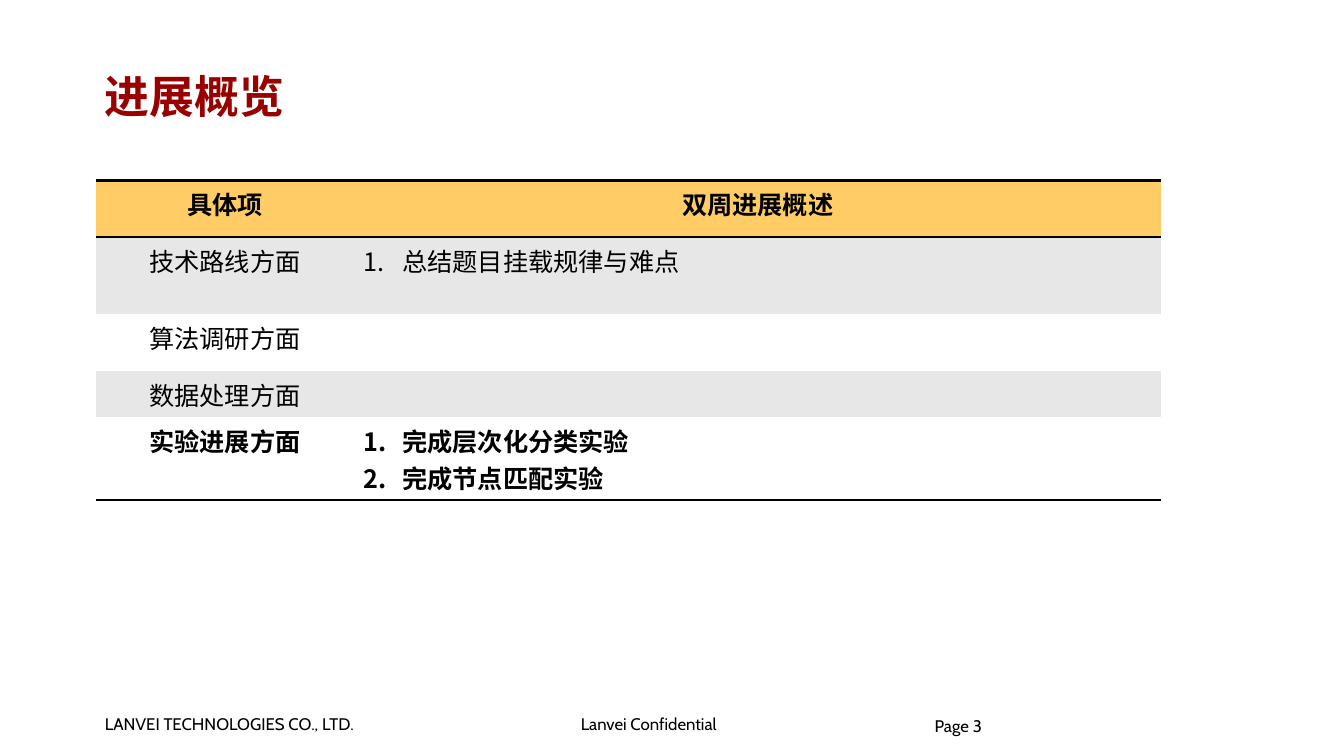
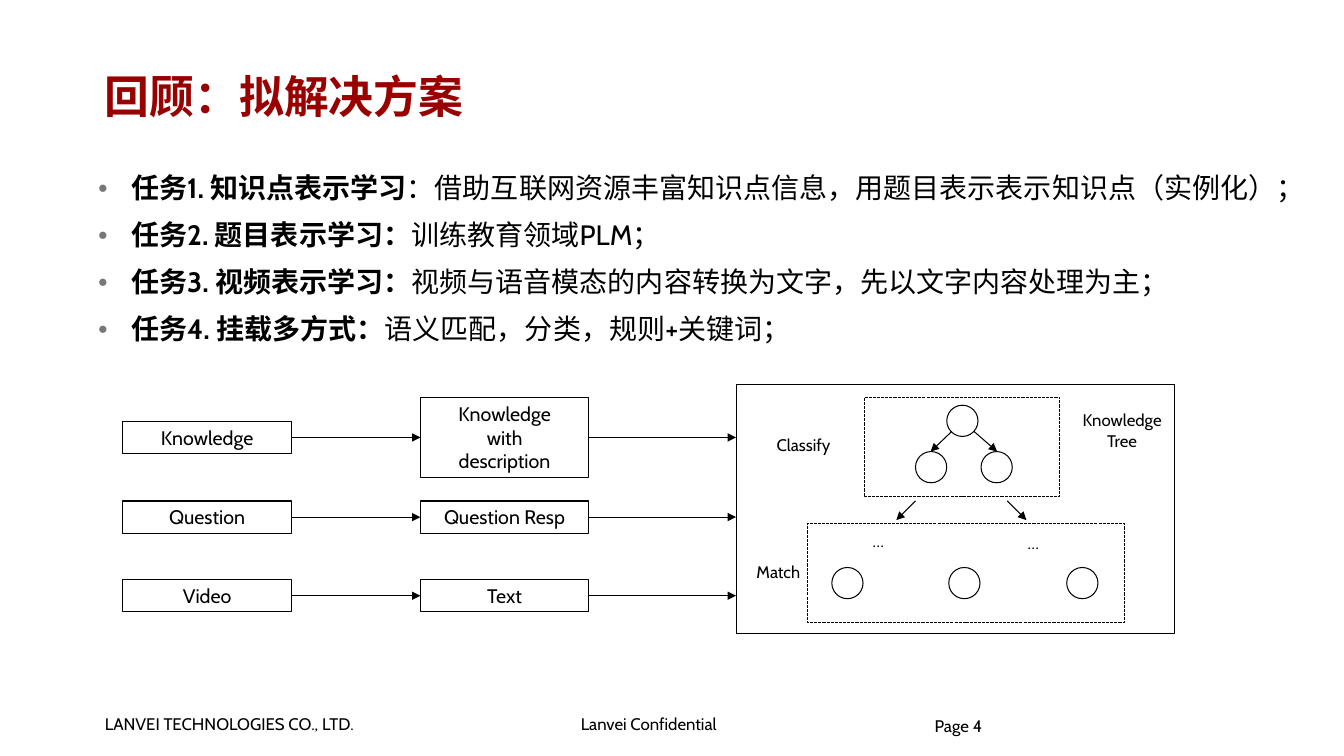
from lxml.etree import SubElement
from pptx import Presentation
from pptx.dml.color import RGBColor
from pptx.enum.dml import MSO_LINE
from pptx.enum.shapes import MSO_CONNECTOR, MSO_SHAPE
from pptx.enum.text import MSO_ANCHOR, MSO_AUTO_SIZE, PP_ALIGN
from pptx.oxml.ns import qn
from pptx.util import Inches, Pt

COLORS = {"title": "990000", "ink": "000000", "head": "FFCC66",
          "band": "E7E7E7", "plain": "FFFFFF", "dot": "777777"}
LATIN, HAN = "Cabin", "Noto Sans CJK SC"
NO_STYLE = "{2D5ABB26-0587-4C30-8999-92F81FD0307C}"
CENTER = PP_ALIGN.CENTER
INSETS = (0.09, 0.04, 0.09, 0.04)


def rgb(name):
    return RGBColor.from_string(COLORS[name])


def add(parent, tag, **attrs):
    return SubElement(parent, qn(tag), attrs)


def box(*nums):
    return [Inches(n) for n in nums]


# Text: each line is a string or a list of (text, bold) pairs
def write(frame, *lines, size=12, bold=False, color="ink", font=LATIN,
          align=None, spacing=None, bullet=None):
    for i, line in enumerate(lines):
        para = frame.paragraphs[0] if i == 0 else frame.add_paragraph()
        para.alignment = align
        if spacing:
            para.line_spacing = spacing
            para.space_before = Pt(0)
        if bullet:
            bullet(para)
        for text, heavy in [(line, bold)] if isinstance(line, str) else line:
            run = para.add_run()
            run.text = text
            run.font.size, run.font.bold, run.font.name = Pt(size), heavy, font
            run.font.color.rgb = rgb(color)
            add(run.font._element, "a:ea", typeface=HAN)


def indent(para, inches):
    props = para._p.get_or_add_pPr()
    props.set("marL", str(Inches(inches)))
    props.set("indent", str(-Inches(inches)))
    return props


def dot(para):
    props = indent(para, 0.33)
    add(add(props, "a:buClr"), "a:srgbClr", val=COLORS["dot"])
    add(props, "a:buSzPct", val="60000")
    add(props, "a:buChar", char="●")


def number(para):
    add(indent(para, 0.38), "a:buAutoNum", type="arabicPeriod")


def pad(frame, insets):
    (frame.margin_left, frame.margin_top,
     frame.margin_right, frame.margin_bottom) = box(*insets)


def label(slide, place, *lines, wrap=True, insets=(0.1, 0.05, 0.1, 0.05), **style):
    frame = slide.shapes.add_textbox(*box(*place)).text_frame
    frame.word_wrap = wrap
    pad(frame, insets)
    write(frame, *lines, **style)


# Shared slide parts: title, footer, page number
def page(deck, layout, title, num):
    slide = deck.slides.add_slide(deck.slide_layouts[layout])
    head = slide.shapes.title
    head.left, head.top, head.width, head.height = box(0.95, 0.47, 11.29, 0.95)
    frame = head.text_frame
    frame.vertical_anchor = MSO_ANCHOR.MIDDLE
    pad(frame, INSETS)
    write(frame, title, size=32, bold=True, color="title", font=HAN,
          align=PP_ALIGN.LEFT)
    label(slide, (0.95, 7.04, 3.02, 0.29), "LANVEI TECHNOLOGIES CO., LTD.",
          wrap=False, insets=INSETS)
    label(slide, (5.67, 7.04, 1.71, 0.29), "Lanvei Confidential",
          wrap=False, insets=INSETS)
    label(slide, (9.27, 7.13, 3.06, 0.5), f"Page {num}",
          insets=(0, 0, 0, 0), spacing=0.85)
    return slide


# Outlined shapes and arrows
def shape(slide, kind, place, *lines, dash=False):
    item = slide.shapes.add_shape(kind, *box(*place))
    item.shadow.inherit = False
    item.fill.background()
    item.line.color.rgb, item.line.width = rgb("ink"), Pt(0.75)
    if dash:
        item.line.dash_style = MSO_LINE.SQUARE_DOT
    pad(item.text_frame, INSETS)
    if lines:
        write(item.text_frame, *lines, size=14, align=CENTER)
    return item


def ring(slide, left, top):
    return shape(slide, MSO_SHAPE.OVAL, (left, top, 0.31, 0.31))


def arrow(slide, start, end, source=None, target=None):
    line = slide.shapes.add_connector(MSO_CONNECTOR.STRAIGHT, *box(*start, *end))
    if source:
        line.begin_connect(source, 3)
    if target:
        line.end_connect(target, 1)
    line.line.color.rgb, line.line.width = rgb("ink"), Pt(0.75)
    add(line.line._get_or_add_ln(), "a:tailEnd", type="triangle")
    add(line._element.spPr, "a:effectLst")


# Table
def border(cell, *sides):
    props = cell._tc.get_or_add_tcPr()
    for i, side in enumerate(sides):
        edge = props.makeelement(qn(f"a:{side}"), {"w": str(Pt(2))})
        add(add(edge, "a:solidFill"), "a:srgbClr", val=COLORS["ink"])
        props.insert(i, edge)


def grid(slide, rows, widths, heights):
    place = box(0.95, 1.79, sum(widths), sum(heights))
    table = slide.shapes.add_table(len(rows), len(widths), *place).table
    table._tbl.tblPr.find(qn("a:tableStyleId")).text = NO_STYLE
    for col, width in zip(table.columns, widths):
        col.width = Inches(width)
    last = len(rows) - 1
    for r, (name, notes) in enumerate(rows):
        table.rows[r].height = Inches(heights[r])
        fill = "head" if r == 0 else "band" if r % 2 else "plain"
        for c, lines in enumerate(([name], notes)):
            cell = table.cell(r, c)
            cell.fill.solid()
            cell.fill.fore_color.rgb = rgb(fill)
            listed = r > 0 and c == 1
            write(cell.text_frame, *lines, size=18, bold=r in (0, last),
                  align=None if listed else CENTER,
                  bullet=number if listed else None)
            if r == 0:
                border(cell, "lnT", "lnB")
            elif r == last:
                border(cell, "lnB")


def progress(deck):
    slide = page(deck, 5, "进展概览", 3)
    rows = [("具体项", ["双周进展概述"]),
            ("技术路线方面", ["总结题目挂载规律与难点"]),
            ("算法调研方面", []),
            ("数据处理方面", []),
            ("实验进展方面", ["完成层次化分类实验", "完成节点匹配实验"])]
    grid(slide, rows, (2.56, 8.01), (0.56, 0.77, 0.56, 0.46, 0.82))


# Three input rows leading into the panel
def flow(slide):
    panel = 7.3
    rows = [("Knowledge", ["Knowledge", "with", "description"], 0.79, 4.34),
            ("Question", ["Question Resp"], 0.32, 5.13),
            ("Video", ["Text"], 0.32, 5.91)]
    for name, lines, high, mid in rows:
        first = shape(slide, MSO_SHAPE.RECTANGLE, (1.22, mid - 0.16, 1.67, 0.32), name)
        second = shape(slide, MSO_SHAPE.RECTANGLE,
                       (4.17, mid - high / 2, 1.67, high), *lines)
        arrow(slide, (2.89, mid), (4.17, mid), first, second)
        arrow(slide, (5.84, mid), (panel, mid), second)
    shape(slide, MSO_SHAPE.RECTANGLE, (panel, 3.81, 4.35, 2.48))


# Classification tree above the matching row
def tree(slide):
    for place in ((8.57, 3.94, 1.94, 0.99), (8.01, 5.19, 3.14, 0.99)):
        shape(slide, MSO_SHAPE.RECTANGLE, place, dash=True)
    for spot in ((9.39, 4.02), (9.08, 4.48), (9.73, 4.48)):
        ring(slide, *spot)
    for left in (8.25, 9.41, 10.58):
        ring(slide, left, 5.63)
    for start, end in (((9.44, 4.28), (9.23, 4.48)), ((9.66, 4.28), (9.89, 4.48)),
                       ((9.08, 4.97), (8.89, 5.16)), ((9.99, 4.97), (10.18, 5.16))):
        arrow(slide, start, end)
    for left, top, *lines in ((10.46, 4.02, "Knowledge", "Tree"),
                              (7.3, 4.26, "Classify"), (7.05, 5.52, "Match"),
                              (8.04, 5.22, "…"), (9.58, 5.24, "…")):
        label(slide, (left, top, 1.34, 0.3), *lines, align=CENTER)


def plan(deck):
    slide = page(deck, 1, "回顾：拟解决方案", 4)
    body = slide.placeholders[1]
    body.left, body.top, body.width, body.height = box(0.88, 1.52, 12.3, 2.06)
    frame = body.text_frame
    frame.auto_size = MSO_AUTO_SIZE.NONE
    pad(frame, INSETS)
    tasks = [("任务1. 知识点表示学习",
              "：借助互联网资源丰富知识点信息，用题目表示表示知识点（实例化）；"),
             ("任务2. 题目表示学习：", "训练教育领域PLM；"),
             ("任务3. 视频表示学习：",
              "视频与语音模态的内容转换为文字，先以文字内容处理为主；"),
             ("任务4. 挂载多方式：", "语义匹配，分类，规则+关键词；")]
    write(frame, *[[(name, True), (text, False)] for name, text in tasks],
          size=20, spacing=1.4, bullet=dot)
    flow(slide)
    tree(slide)


def main():
    deck = Presentation()
    deck.slide_width, deck.slide_height = box(13.33, 7.5)
    progress(deck)
    plan(deck)
    deck.save("out.pptx")


if __name__ == "__main__":
    main()
